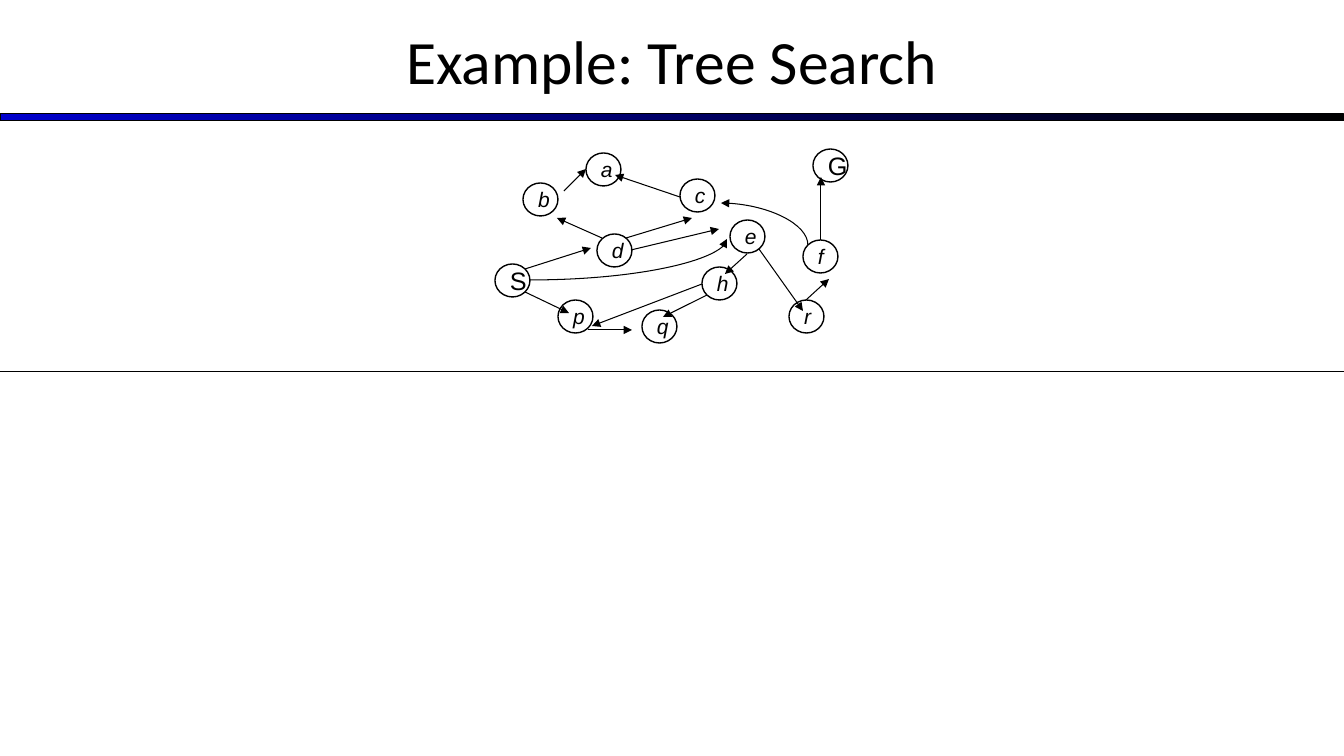
from pptx import Presentation
from pptx.dml.color import RGBColor
from pptx.enum.shapes import MSO_CONNECTOR, MSO_SHAPE
from pptx.enum.text import MSO_ANCHOR, PP_ALIGN
from pptx.oxml.ns import qn
from pptx.util import Pt
from lxml.etree import SubElement

SCALE = 12192000 / 1344  # EMU in one px
COLOURS = {"ink": "000000", "bar": "0000CC"}
NODE_WIDTH, NODE_HEIGHT = 35, 33

# Left and top of each node
NODES = {
    "S": (495, 264), "G": (813, 149), "d": (597, 234), "b": (523, 183),
    "p": (558, 300), "q": (642, 310), "c": (680, 179), "e": (730, 220),
    "h": (702, 267), "a": (586, 153), "f": (803, 240), "r": (789, 300),
}

# Start and end of each straight arrow
EDGES = {
    "S-p": (525, 292, 569, 313), "p-q": (588, 330, 632, 330),
    "h-q": (707, 295, 663, 317), "h-p": (702, 284, 592, 326),
    "e-h": (747, 254, 725, 274), "e-r": (759, 249, 803, 311),
    "r-f": (806, 300, 829, 279), "f-G": (821, 240, 821, 177),
    "S-d": (525, 269, 591, 248), "d-b": (602, 238, 557, 218),
    "b-a": (564, 191, 586, 169), "c-a": (680, 197, 615, 175),
    "d-c": (626, 238, 692, 218), "d-e": (631, 250, 719, 229),
}


def px(*lengths):
    return [round(length * SCALE) for length in lengths]


def colour(name):
    return RGBColor.from_string(COLOURS[name])


def write(shape, text, size, font="Arial", italic=False):
    frame = shape.text_frame
    frame.word_wrap = True
    frame.vertical_anchor = MSO_ANCHOR.MIDDLE
    frame.margin_left = frame.margin_right = Pt(7.2)
    frame.margin_top = frame.margin_bottom = Pt(3.6)
    para = frame.paragraphs[0]
    para.alignment = PP_ALIGN.CENTER
    span = para.add_run()
    span.text = text
    span.font.name = font
    span.font.size = Pt(size)
    span.font.italic = italic
    span.font.color.rgb = colour("ink")


def add_outlined(shapes, preset, left, top, width, height, weight):
    shape = shapes.add_shape(preset, *px(left, top, width, height))
    shape.shadow.inherit = False
    shape.line.color.rgb = colour("ink")
    shape.line.width = Pt(weight)
    return shape


def add_bar(shapes):
    bar = add_outlined(shapes, MSO_SHAPE.RECTANGLE, 0, 114, 1344, 7, 0.75)
    bar.fill.gradient()
    bar.fill.gradient_angle = 0
    for stop, name in zip(bar.fill.gradient_stops, ("bar", "ink")):
        stop.color.rgb = colour(name)


def add_node(shapes, label, left, top):
    node = add_outlined(shapes, MSO_SHAPE.FLOWCHART_CONNECTOR,
                        left, top, NODE_WIDTH, NODE_HEIGHT, 1)
    node.fill.background()
    write(node, label, size=18 if label.isupper() else 15, italic=label.islower())


def add_line(shapes, ends, kind=MSO_CONNECTOR.STRAIGHT, arrow=True):
    line = shapes.add_connector(kind, *px(*ends))
    line.line.color.rgb = colour("ink")
    line.line.width = Pt(0.75)
    properties = line._element.spPr
    if arrow:
        SubElement(properties.find(qn("a:ln")), qn("a:tailEnd"), type="triangle")
    SubElement(properties, qn("a:effectLst"))
    return line


def add_curve(shapes, x1, y1, x2, y2, upright=False):
    """Quarter bend leaving sideways, or vertically when upright."""
    if upright:  # undo the quarter turn about the centre
        mid_x, mid_y = (x1 + x2) / 2, (y1 + y2) / 2
        dx, dy = (x2 - x1) / 2, (y2 - y1) / 2
        x1, y1, x2, y2 = mid_x - dy, mid_y + dx, mid_x + dy, mid_y - dx
    curve = add_line(shapes, (x1, y1, x2, y2), MSO_CONNECTOR.CURVE)
    properties = curve._element.spPr
    properties.find(qn("a:prstGeom")).set("prst", "curvedConnector2")
    if upright:
        properties.find(qn("a:xfrm")).set("rot", "5400000")


def main():
    deck = Presentation()
    deck.slide_width, deck.slide_height = px(1344, 756)
    page = deck.slides.add_slide(deck.slide_layouts[5])

    # Title, bar and divider
    title = page.shapes.title
    title.left, title.top, title.width, title.height = px(0, -3, 1344, 126)
    write(title, "Example: Tree Search", size=44, font="Calibri")
    add_bar(page.shapes)
    add_line(page.shapes, (0, 372, 1344, 372), arrow=False)

    # Search graph
    graph = page.shapes.add_group_shape().shapes
    for label, (left, top) in NODES.items():
        add_node(graph, label, left, top)
    for ends in EDGES.values():
        add_line(graph, ends)
    add_curve(graph, 808, 245, 721, 203, upright=True)
    add_curve(graph, 530, 280, 727, 239)

    deck.save("out.pptx")


if __name__ == "__main__":
    main()
